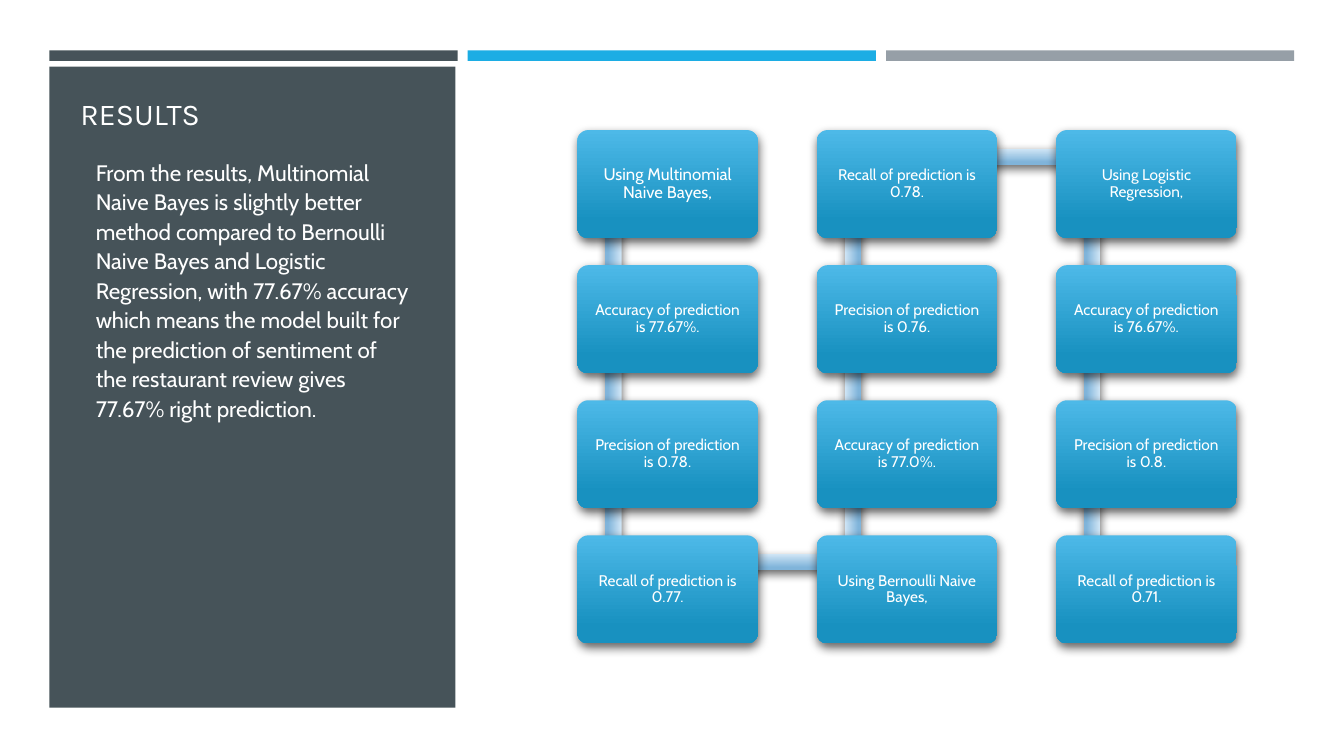
from lxml.etree import SubElement
from pptx import Presentation
from pptx.dml.color import RGBColor
from pptx.enum.shapes import MSO_SHAPE as Shape
from pptx.enum.text import MSO_ANCHOR as Anchor, PP_ALIGN as Align
from pptx.oxml.ns import qn
from pptx.util import Pt

SLATE, BLUE, GREY, WHITE = "465359", "1CADE4", "969FA7", "FFFFFF"
STEP_FILL = ("4DB9E8", "1891C0")
LINK_FILL = ("D1E6F6", "80B4DA")

SUMMARY = (
    "From the results, Multinomial Naive Bayes is slightly better method "
    "compared to Bernoulli Naive Bayes and Logistic Regression, with 77.67% "
    "accuracy which means the model built for the prediction of sentiment of "
    "the restaurant review gives 77.67% right prediction."
)
STEPS = [
    "Using Multinomial Naive Bayes,",
    "Accuracy of prediction is 77.67%.",
    "Precision of prediction is 0.78.",
    "Recall of prediction is 0.77.",
    "Using Bernoulli Naive Bayes,",
    "Accuracy of prediction is 77.0%.",
    "Precision of prediction is 0.76.",
    "Recall of prediction is 0.78.",
    "Using Logistic Regression,",
    "Accuracy of prediction is 76.67%.",
    "Precision of prediction is 0.8.",
    "Recall of prediction is 0.71.",
]


def color(value):
    return RGBColor.from_string(value)


def apply(target, values):
    for name, value in values.items():
        setattr(target, name, value)


def add_block(page, kind, box, fill):
    """Borderless shape: one colour, or a shadowed gradient for a pair."""
    block = page.shapes.add_shape(kind, *map(Pt, box))
    block.line.fill.background()
    block.shadow.inherit = False
    if isinstance(fill, str):
        block.fill.solid()
        block.fill.fore_color.rgb = color(fill)
        return block
    block.fill.gradient()
    block.fill.gradient_angle = 270
    for stop, value, position in zip(block.fill.gradient_stops, fill, (0, 0.84)):
        stop.color.rgb = color(value)
        stop.position = position
    effects = block.element.spPr.find(qn("a:effectLst"))
    shadow = SubElement(effects, qn("a:outerShdw"), blurRad=str(Pt(7)),
                        dist=str(Pt(3)), dir="5040000", rotWithShape="0")
    black = SubElement(shadow, qn("a:srgbClr"), val="000000")
    SubElement(black, qn("a:alpha"), val="60000")
    return block


def write(shape, text, font, size, frame_format, para_format):
    frame = shape.text_frame
    apply(frame, {"word_wrap": True, **frame_format})
    para = frame.paragraphs[0]
    apply(para, para_format)
    span = para.add_run()
    span.text = text
    apply(span.font, {"name": font, "size": Pt(size)})
    span.font.color.rgb = color(WHITE)


def add_header_bars(page, box):
    left, top, width, height = box
    gap = 7.2
    bar_width = (width - 2 * gap) / 3
    for index, fill in enumerate((SLATE, BLUE, GREY)):
        bar_left = left + index * (bar_width + gap)
        add_block(page, Shape.RECTANGLE, (bar_left, top, bar_width, height), fill)


def add_summary_panel(page, box):
    left, top, width, height = box
    add_block(page, Shape.RECTANGLE, box, SLATE)

    # Heading
    heading = page.shapes.add_textbox(Pt(left + 15), Pt(top + 15), Pt(239), Pt(35.3))
    write(heading, "RESULTS", "Karla", 21.6, {"vertical_anchor": Anchor.BOTTOM}, {})

    # Finding
    finding = page.shapes.add_textbox(Pt(left + 26), Pt(top + 60.5), Pt(239), Pt(366.5))
    write(finding, SUMMARY, "Cabin", 16, {"vertical_anchor": Anchor.TOP},
          {"line_spacing": 1.1, "space_before": Pt(3.2), "space_after": Pt(6)})


def add_link(page, left, top, length, thickness, turn):
    """Bar to the next step; turned bars run downward from (left, top)."""
    if turn:
        left += (thickness - length) / 2
        top += (length - thickness) / 2
    link = add_block(page, Shape.RECTANGLE, (left, top, length, thickness), LINK_FILL)
    link.rotation = turn


def add_step(page, box, text, size):
    step = add_block(page, Shape.ROUNDED_RECTANGLE, box, STEP_FILL)
    step.adjustments[0] = 0.1
    insets = dict.fromkeys(
        ("margin_left", "margin_right", "margin_top", "margin_bottom"), Pt(6))
    write(step, text, "Cabin", size, {"vertical_anchor": Anchor.MIDDLE, **insets},
          {"alignment": Align.CENTER, "line_spacing": 0.9, "space_after": Pt(4)})


def add_snake(page, box):
    """Steps run down the first column, up the second and down the third."""
    left, top, width, height = box
    columns, rows = 3, 4
    step_width, step_height, thickness = 129, 77.2, 11.6
    pitch_x = (width - step_width) / (columns - 1)
    pitch_y = (height - step_height) / (rows - 1)
    for index, text in enumerate(STEPS):
        column, place = divmod(index, rows)
        upward = column % 2 == 1
        row = rows - 1 - place if upward else place
        x, y = left + column * pitch_x, top + row * pitch_y

        # Link to the next step, behind both boxes
        if place < rows - 1:
            link_top = y + 19.6 - (pitch_y if upward else 0)
            add_link(page, x + 20, link_top, pitch_y, thickness, 270 if upward else 90)
        elif column < columns - 1:
            add_link(page, x + 26, y + 13.2, pitch_x, thickness, 0)

        add_step(page, (x, y, step_width, step_height), text, 11 if index else 12)


def main():
    deck = Presentation()
    apply(deck, {"slide_width": Pt(960), "slide_height": Pt(540)})
    page = deck.slides.add_slide(deck.slide_layouts[6])
    add_header_bars(page, (35.3, 36, 889.2, 7.5))
    add_summary_panel(page, (35.3, 47.5, 290, 458))
    add_snake(page, (412.4, 92.9, 471, 366.7))
    deck.save("out.pptx")


if __name__ == "__main__":
    main()
